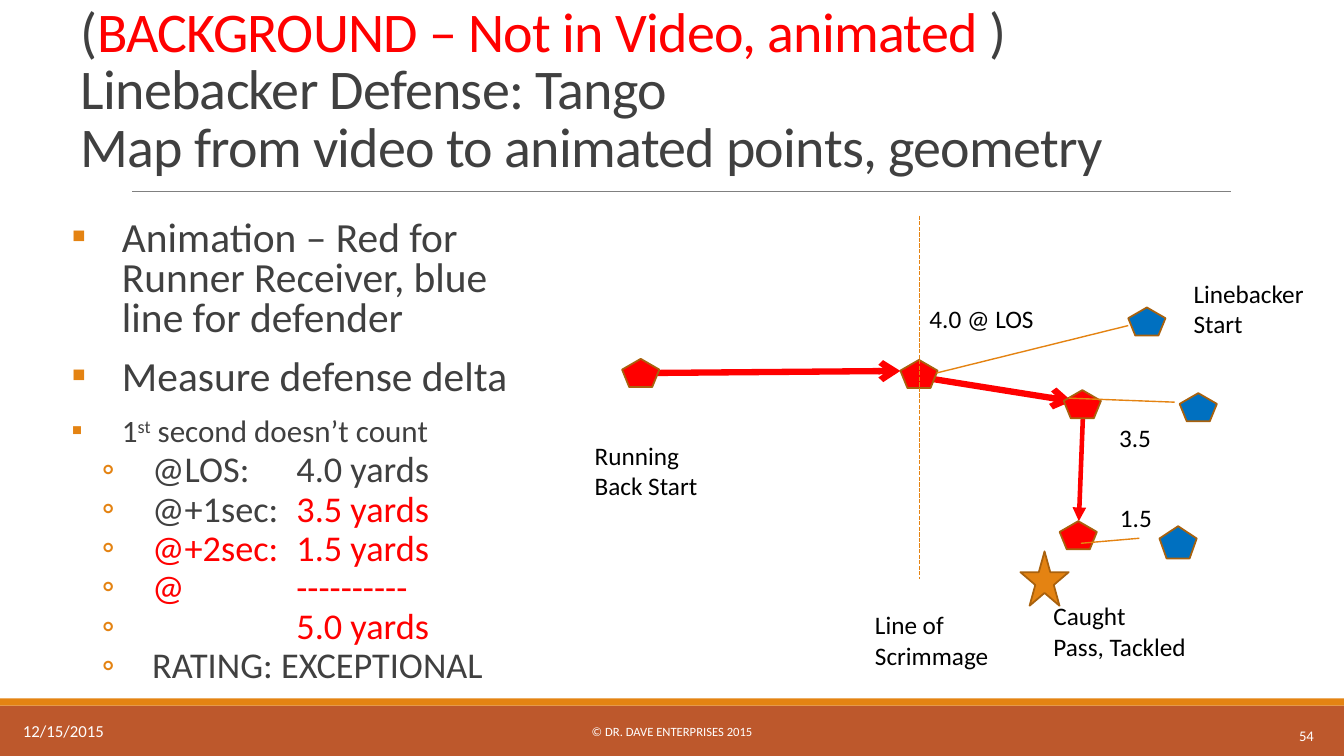
"""Builds the Tango linebacker slide with its field diagram."""
from pptx import Presentation
from pptx.dml.color import RGBColor
from pptx.enum.dml import MSO_LINE
from pptx.enum.shapes import MSO_CONNECTOR, MSO_SHAPE
from pptx.enum.text import MSO_ANCHOR, PP_ALIGN
from pptx.oxml.ns import qn
from pptx.util import Inches, Pt
from lxml.etree import SubElement

RED = RGBColor(0xFF, 0, 0)
BLUE = RGBColor(0, 0x70, 0xC0)
ORANGE = RGBColor(0xE4, 0x83, 0x12)
RUST = RGBColor(0xBD, 0x58, 0x2C)
BROWN = RGBColor(0xA9, 0x61, 0x0D)
GREY = RGBColor(0x80, 0x80, 0x80)
DARK = RGBColor(0x40, 0x40, 0x40)
BLACK = RGBColor(0, 0, 0)
WHITE = RGBColor(0xFF, 0xFF, 0xFF)

TITLE = [("(", DARK), ("BACKGROUND – Not in Video, animated ", RED),
         (")\vLinebacker Defense: Tango\v"
          "Map from video to animated points, geometry", DARK)]
POINTS = [
    (29.6, [("Animation – Red for Runner Receiver, blue line for defender", DARK)]),
    (29.6, [("Measure defense delta", DARK)]),
    (22.2, [("1", DARK), ("st", DARK), (" second doesn’t count", DARK)]),
]
RATINGS = [
    [("@LOS:\t4.0 yards", DARK)],
    [("@+1sec:\t", DARK), ("3.5 yards", RED)],
    [("@+2sec:\t1.5 yards", RED)],
    [("@\t----------", RED)],
    [("\t5.0 yards", RED)],
    [("RATING: EXCEPTIONAL", DARK)],
]
BANDS = [((0, 7, 13.33, 0.5), RUST), ((0, 6.93, 13.33, 0.07), ORANGE)]
FOOTERS = [
    ("© DR. DAVE ENTERPRISES 2015", (4.03, 7.06, 5.27, 0.4), 9, PP_ALIGN.CENTER, MSO_ANCHOR.MIDDLE),
    ("54", (11.7, 7.1, 1.43, 0.4), 10.5, PP_ALIGN.RIGHT, MSO_ANCHOR.MIDDLE),
    ("12/15/2015", (0.13, 7.1, 2.7, 0.4), 12, PP_ALIGN.LEFT, MSO_ANCHOR.TOP),
]
RUNS = [
    ((6.49, 3.7), (8.93, 3.68), 4.5, "arrow"),
    ((9.25, 3.76), (10.63, 3.98), 4.5, "arrow"),
    ((10.74, 4.15), (10.7, 5.17), 3.25, "triangle"),
]
PLAYERS = [
    (6.17, 3.56, 0.28, RED), (8.93, 3.57, 0.28, RED),
    (10.55, 3.87, 0.28, RED), (10.51, 5.17, 0.28, RED),
    (11.19, 3.05, 0.28, BLUE), (11.7, 3.9, 0.28, BLUE), (11.5, 5.22, 0.32, BLUE),
]
PLAYER_WIDTH = 0.37
TACKLE = (10.12, 5.47, 0.48, 0.54)
GAPS = [((9.29, 3.7), (11.19, 3.23)), ((10.6, 3.95), (11.65, 3.99)),
        ((10.72, 5.39), (11.3, 5.34))]
SCRIMMAGE = ((9.12, 2.14), (9.12, 5.74))
LABELS = [
    (["4.0 @ LOS"], (9.12, 2.96, 1.25, 0.4)),
    (["3.5"], (11, 4.14, 0.52, 0.4)),
    (["1.5"], (11.01, 4.93, 0.57, 0.4)),
    (["Running", "Back Start"], (5.8, 4.32, 1.23, 0.71)),
    (["Linebacker", "Start"], (11.74, 2.71, 1.36, 0.71)),
    (["Caught", "Pass, Tackled"], (10.35, 5.91, 1.53, 0.71)),
    (["Line of", "Scrimmage"], (8.58, 6, 1.34, 0.71)),
]
YARDS_TAB = 2.23


def apply(target, values):
    for name, value in values.items():
        setattr(target, name, value)


def add_shape(page, kind, place, fill, line=None):
    shape = page.shapes.add_shape(kind, *map(Inches, place))
    shape.shadow.inherit = False
    shape.fill.solid()
    shape.fill.fore_color.rgb = fill
    if line is None:
        shape.line.fill.background()
    else:
        shape.line.color.rgb = line
        shape.line.width = Pt(1.25)


def add_line(page, start, end, color, width, arrow=None, dash=None):
    line = page.shapes.add_connector(MSO_CONNECTOR.STRAIGHT, *map(Inches, start + end))
    line.line.color.rgb = color
    line.line.width = Pt(width)
    if dash:
        line.line.dash_style = dash
    if arrow:
        SubElement(line.line._get_or_add_ln(), qn("a:tailEnd"), type=arrow)
    SubElement(line._element.spPr, qn("a:effectLst"))


def add_box(page, place, **frame_values):
    frame = page.shapes.add_textbox(*map(Inches, place)).text_frame
    apply(frame, {"word_wrap": True, **frame_values})
    return frame


def add_para(frame, first, spans, size, **para_values):
    para = frame.paragraphs[0] if first else frame.add_paragraph()
    apply(para, para_values)
    for index, (text, color) in enumerate(spans):
        for part, line in enumerate(text.split("\v")):
            if part:
                para.add_line_break()
            span = para.add_run()
            span.text = line
            apply(span.font, {"size": Pt(size), "name": "Calibri"})
            span.font.color.rgb = color
    return para


def add_bullet(para, mark, margin, tab=None):
    props = para._p.get_or_add_pPr()
    props.set("marL", str(Inches(margin)))
    props.set("indent", str(Inches(-0.5)))
    color = SubElement(props, qn("a:buClr"))
    SubElement(color, qn("a:srgbClr"), val=str(ORANGE))
    SubElement(props, qn("a:buFont"), typeface="Calibri")
    SubElement(props, qn("a:buChar"), char=mark)
    if tab:
        stops = SubElement(props, qn("a:tabLst"))
        SubElement(stops, qn("a:tab"), pos=str(Inches(tab)), algn="l")


def add_text(page):
    title = add_box(page, (0.7, 0.95, 12.43, 0.87), vertical_anchor=MSO_ANCHOR.BOTTOM)
    para = add_para(title, True, TITLE, 40, line_spacing=0.85)
    for span in para.runs:
        span.font._element.set("spc", "-50")
    body = add_box(page, (0.71, 2.14, 4.41, 4.75), margin_left=0, margin_right=0)
    for index, (size, spans) in enumerate(POINTS):
        para = add_para(body, index == 0, spans, size, line_spacing=0.8,
                        space_before=Pt(12 if index else 0), space_after=Pt(2))
        add_bullet(para, "▪", 0.5)
    para.runs[1].font._element.set("baseline", "30000")
    for spans in RATINGS:
        para = add_para(body, False, spans, 25.9, line_spacing=0.9, level=1)
        add_bullet(para, "◦", 0.8, YARDS_TAB)
    for text, place, size, align, anchor in FOOTERS:
        frame = add_box(page, place, vertical_anchor=anchor)
        add_para(frame, True, [(text, WHITE)], size, alignment=align)


def add_field(page):
    for start, end, width, arrow in RUNS:
        add_line(page, start, end, RED, width, arrow)
    for left, top, height, fill in PLAYERS:
        place = (left, top, PLAYER_WIDTH, height)
        add_shape(page, MSO_SHAPE.REGULAR_PENTAGON, place, fill, BROWN)
    for start, end in GAPS:
        add_line(page, start, end, ORANGE, 1)
    add_shape(page, MSO_SHAPE.STAR_5_POINT, TACKLE, ORANGE, BROWN)
    add_line(page, *SCRIMMAGE, ORANGE, 1, dash=MSO_LINE.SQUARE_DOT)
    for lines, place in LABELS:
        frame = add_box(page, place, word_wrap=False)
        for index, line in enumerate(lines):
            add_para(frame, index == 0, [(line, BLACK)], 18)


def main():
    deck = Presentation()
    apply(deck, {"slide_width": Inches(13.33), "slide_height": Inches(7.5)})
    page = deck.slides.add_slide(deck.slide_layouts[6])
    for place, fill in BANDS:
        add_shape(page, MSO_SHAPE.RECTANGLE, place, fill)
    add_line(page, (1.31, 1.9), (12.21, 1.9), GREY, 0.5)
    add_text(page)
    add_field(page)
    deck.save("out.pptx")


if __name__ == "__main__":
    main()
